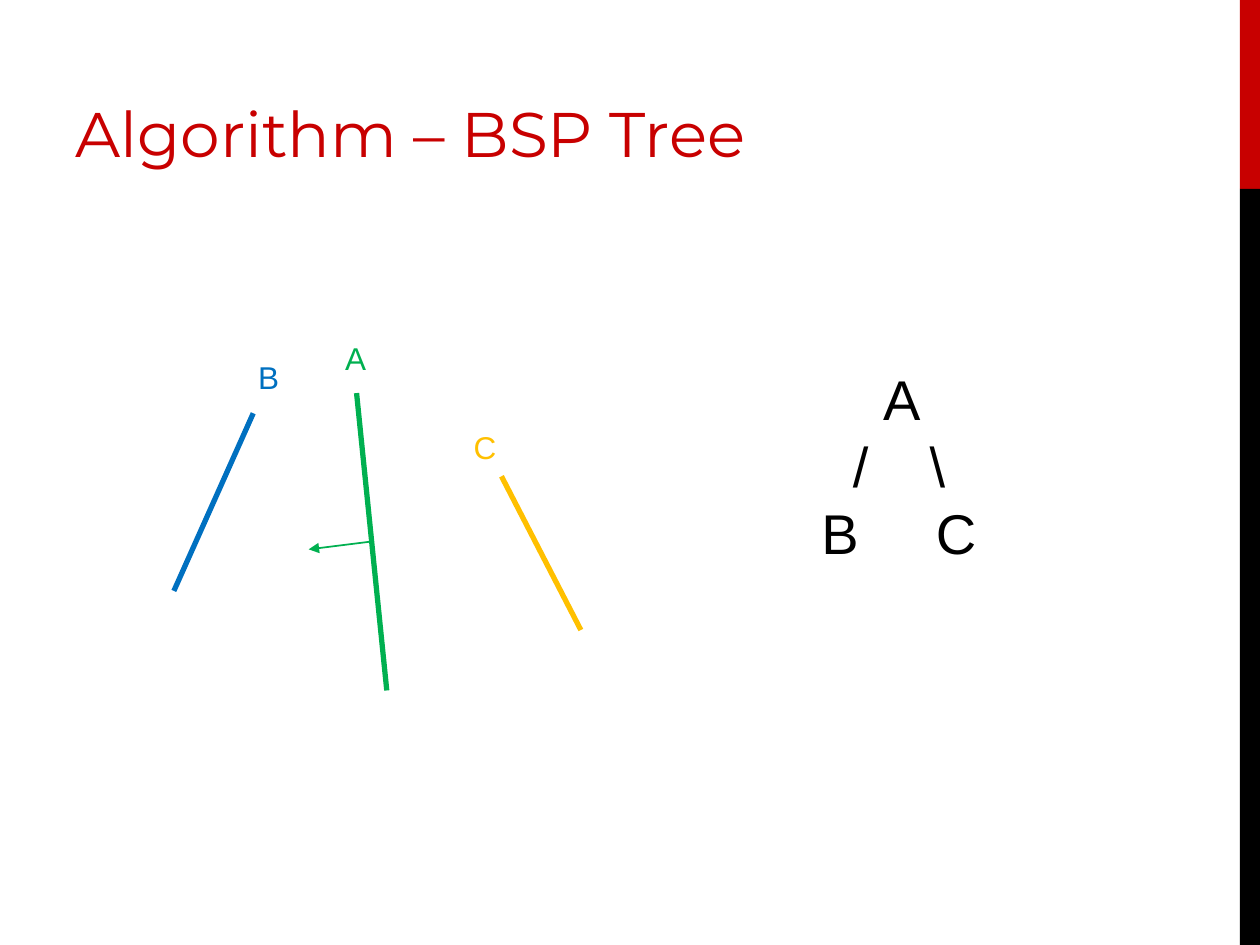
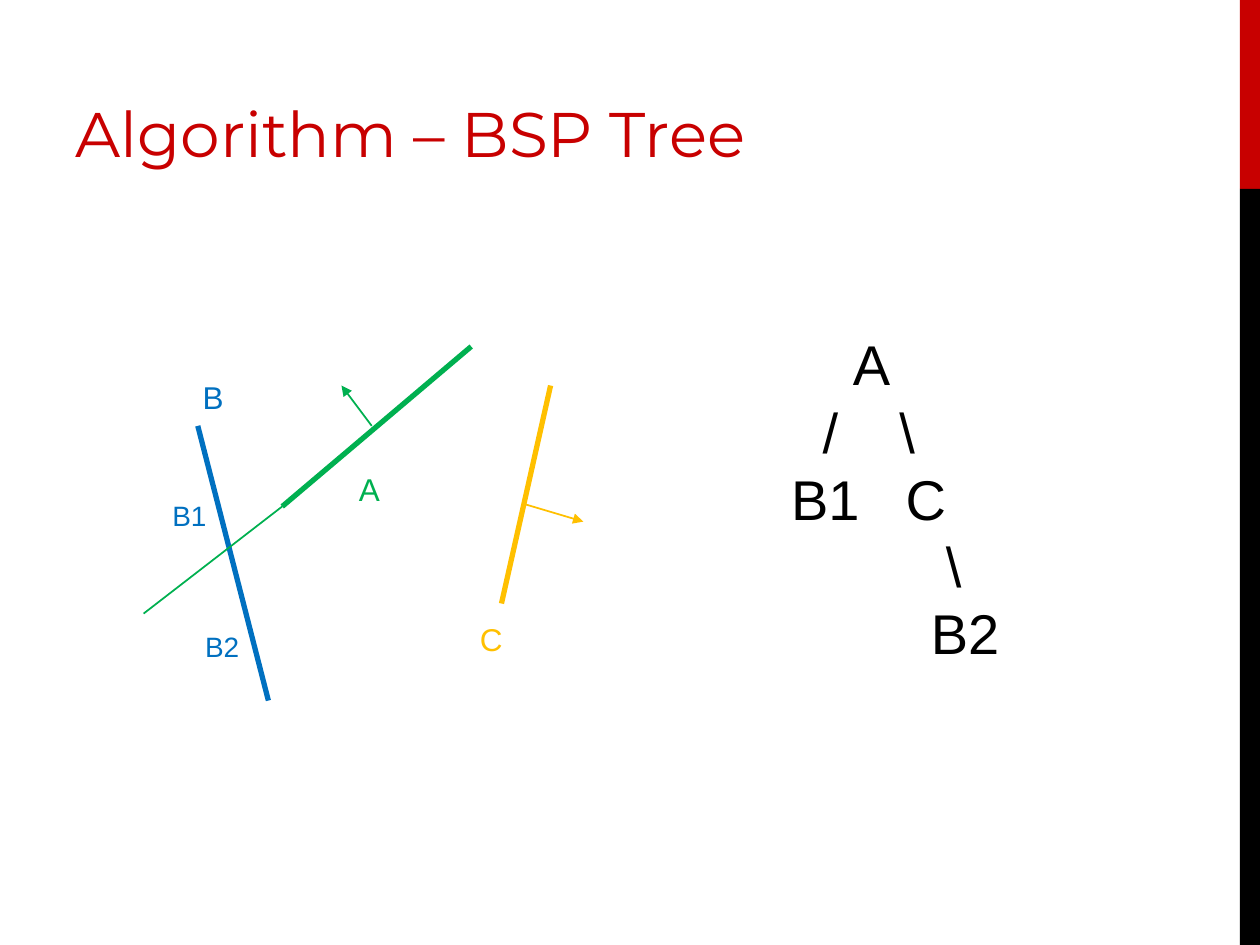
"""Build two slides that show how line segments are sorted into a BSP tree."""
import pptx
import pptx.dml.color
import pptx.enum.shapes
import pptx.enum.text
import pptx.util
from lxml import etree
from pptx.util import Inches, Pt

RED, BLACK = "C80000", "000000"
GREEN, BLUE, YELLOW = "00B050", "0070C0", "FFC000"
TITLE = "Algorithm – BSP Tree"
TITLE_BOX = (0.5, 0.17, 7.65, 1.5)
BANDS = [((9.84, 0, 0.16, 1.5), RED), ((9.84, 1.5, 0.16, 6), BLACK)]
SEGMENT, THIN = 3, 1
NAME_SIZE, PART_SIZE, TREE_SIZE = 18, 16, 32

SLIDES = [
    {
        "segments": [((1.38, 4.69), (2.01, 3.28), BLUE),
                     ((3.98, 3.78), (4.61, 5), YELLOW),
                     ((3.07, 5.48), (2.83, 3.12), GREEN)],
        "extensions": [],
        "normals": [((2.93, 4.3), (2.45, 4.36), GREEN)],
        "names": [("A", (2.64, 2.64, 0.36, 0.4), GREEN),
                  ("B", (1.95, 2.79, 0.36, 0.4), BLUE),
                  ("C", (3.66, 3.35, 0.38, 0.4), YELLOW)],
        "parts": [],
        "tree_box": (6.42, 2.84, 1.57, 1.7),
        "tree": [[(0.49, "A")],
                 [(0.25, "/"), (0.86, "\\")],
                 [(0, "B"), (0.91, "C")]],
    },
    {
        "segments": [((2.13, 5.56), (1.57, 3.38), BLUE),
                     ((4.37, 3.06), (3.98, 4.79), YELLOW),
                     ((2.24, 4.02), (3.74, 2.75), GREEN)],
        "extensions": [((2.24, 4.02), (1.14, 4.87), GREEN)],
        "normals": [((2.95, 3.38), (2.71, 3.06), GREEN),
                    ((4.16, 4), (4.63, 4.14), YELLOW)],
        "names": [("A", (2.75, 3.68, 0.36, 0.4), GREEN),
                  ("B", (1.51, 2.95, 0.36, 0.4), BLUE),
                  ("C", (3.71, 4.87, 0.38, 0.4), YELLOW)],
        "parts": [("B1", (1.27, 3.91, 0.47, 0.36), BLUE),
                  ("B2", (1.53, 4.95, 0.47, 0.36), BLUE)],
        "tree_box": (6.18, 2.57, 2.13, 2.76),
        "tree": [[(0.49, "A")],
                 [(0.25, "/"), (0.86, "\\")],
                 [(0, "B1"), (0.91, "C")],
                 [(1.23, "\\")],
                 [(1.11, "B2")]],
    },
]


def rgb(value):
    return pptx.dml.color.RGBColor.from_string(value)


def inches(values):
    return [Inches(value) for value in values]


def child(parent, tag, **attributes):
    return etree.SubElement(parent, pptx.oxml.ns.qn(tag), attributes)


def add_run(paragraph, text, size, color, font="Arial"):
    run = paragraph.add_run()
    run.text = text
    run.font.name, run.font.size = font, Pt(size)
    run.font.color.rgb = rgb(color)


def style_title(layout):
    title = layout.placeholders[0]
    title.left, title.top, title.width, title.height = inches(TITLE_BOX)
    frame = title.text_frame
    frame.auto_size = pptx.enum.text.MSO_AUTO_SIZE.NONE
    frame.vertical_anchor = pptx.enum.text.MSO_ANCHOR.BOTTOM
    frame.margin_bottom = Inches(0.32)


def add_bands(slide, master):
    for number, (box, color) in enumerate(BANDS):
        band = slide.shapes.add_shape(
            pptx.enum.shapes.MSO_SHAPE.RECTANGLE, *inches(box))
        band.shadow.inherit = False
        band.fill.solid()
        band.fill.fore_color.rgb = rgb(color)
        band.line.fill.background()
        band.element.nvSpPr.cNvPr.id = 20 + number
        master.shapes.element.append(band.element)


def add_line(slide, start, end, color, width, arrow=False):
    line = slide.shapes.add_connector(
        pptx.enum.shapes.MSO_CONNECTOR.STRAIGHT, *inches(start + end))
    line.line.color.rgb = rgb(color)
    line.line.width = Pt(width)
    if arrow:
        child(line.line._get_or_add_ln(), "a:tailEnd", type="triangle")
    child(line.element.spPr, "a:effectLst")


def add_label(slide, text, box, color, size):
    label = slide.shapes.add_textbox(*inches(box)).text_frame
    label.word_wrap = False
    add_run(label.paragraphs[0], text, size, color)


def add_tree(slide, box, levels):
    tree = slide.shapes.add_textbox(*inches(box)).text_frame
    tree.word_wrap = True
    for number, level in enumerate(levels):
        row = tree.add_paragraph() if number else tree.paragraphs[0]
        stops = child(row._p.get_or_add_pPr(), "a:tabLst")
        for offset, node in level:
            if offset:
                child(stops, "a:tab", pos=str(Inches(offset)), algn="l")
            add_run(row, "\t" + node if offset else node, TREE_SIZE, BLACK)


def main():
    deck = pptx.Presentation()
    deck.slide_width, deck.slide_height = Inches(10), Inches(7.5)
    layout = deck.slide_layouts.get_by_name("Title Only")
    style_title(layout)
    for number, content in enumerate(SLIDES):
        slide = deck.slides.add_slide(layout)
        if number == 0:
            add_bands(slide, deck.slide_master)
        heading = slide.shapes.title.text_frame.paragraphs[0]
        heading.alignment = pptx.enum.text.PP_ALIGN.LEFT
        add_run(heading, TITLE, 36, RED, "Montserrat")
        for segment in content["segments"]:
            add_line(slide, *segment, SEGMENT)
        for extension in content["extensions"]:
            add_line(slide, *extension, THIN)
        for normal in content["normals"]:
            add_line(slide, *normal, THIN, arrow=True)
        for name in content["names"]:
            add_label(slide, *name, NAME_SIZE)
        for part in content["parts"]:
            add_label(slide, *part, PART_SIZE)
        add_tree(slide, content["tree_box"], content["tree"])
    deck.save("out.pptx")


if __name__ == "__main__":
    main()
